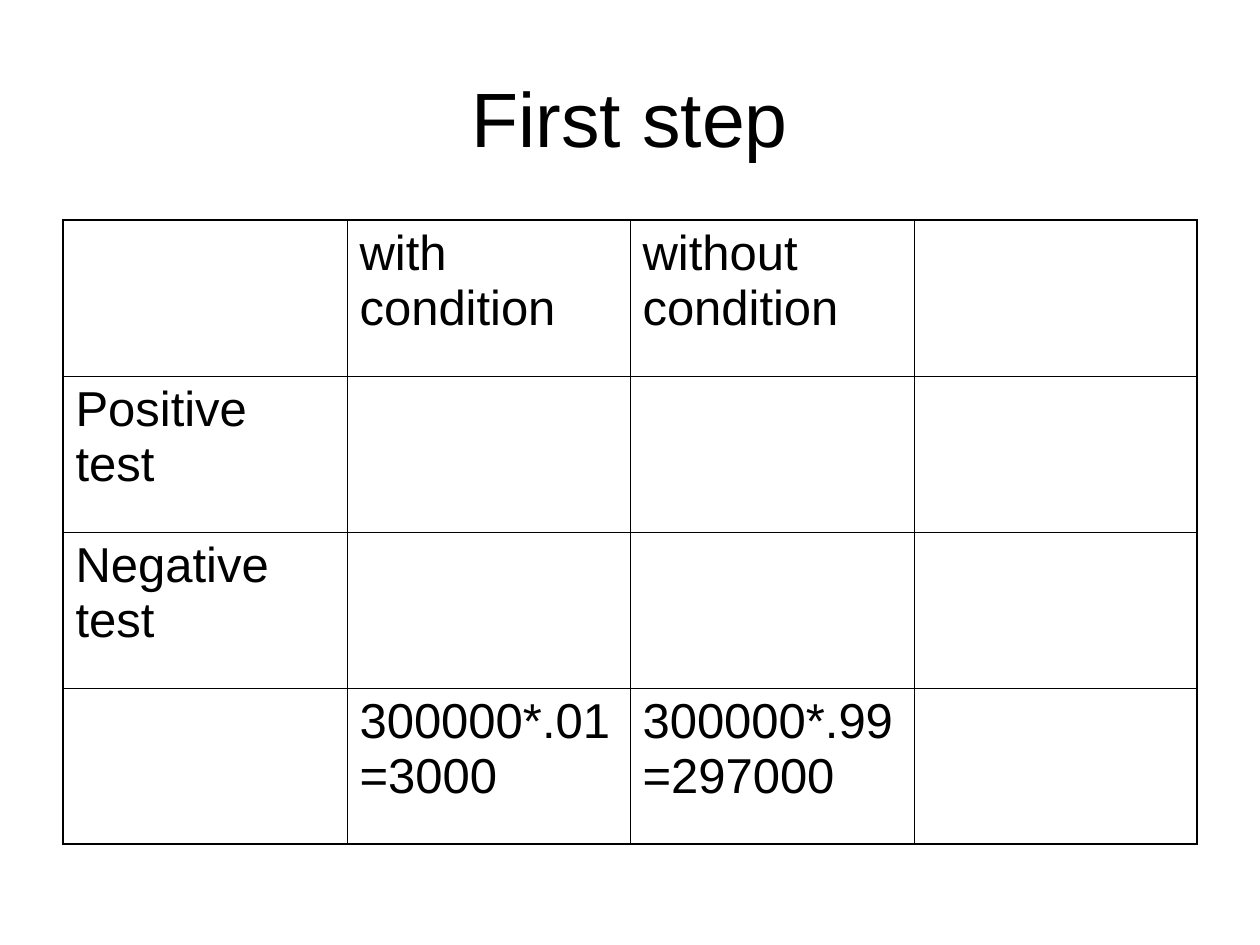
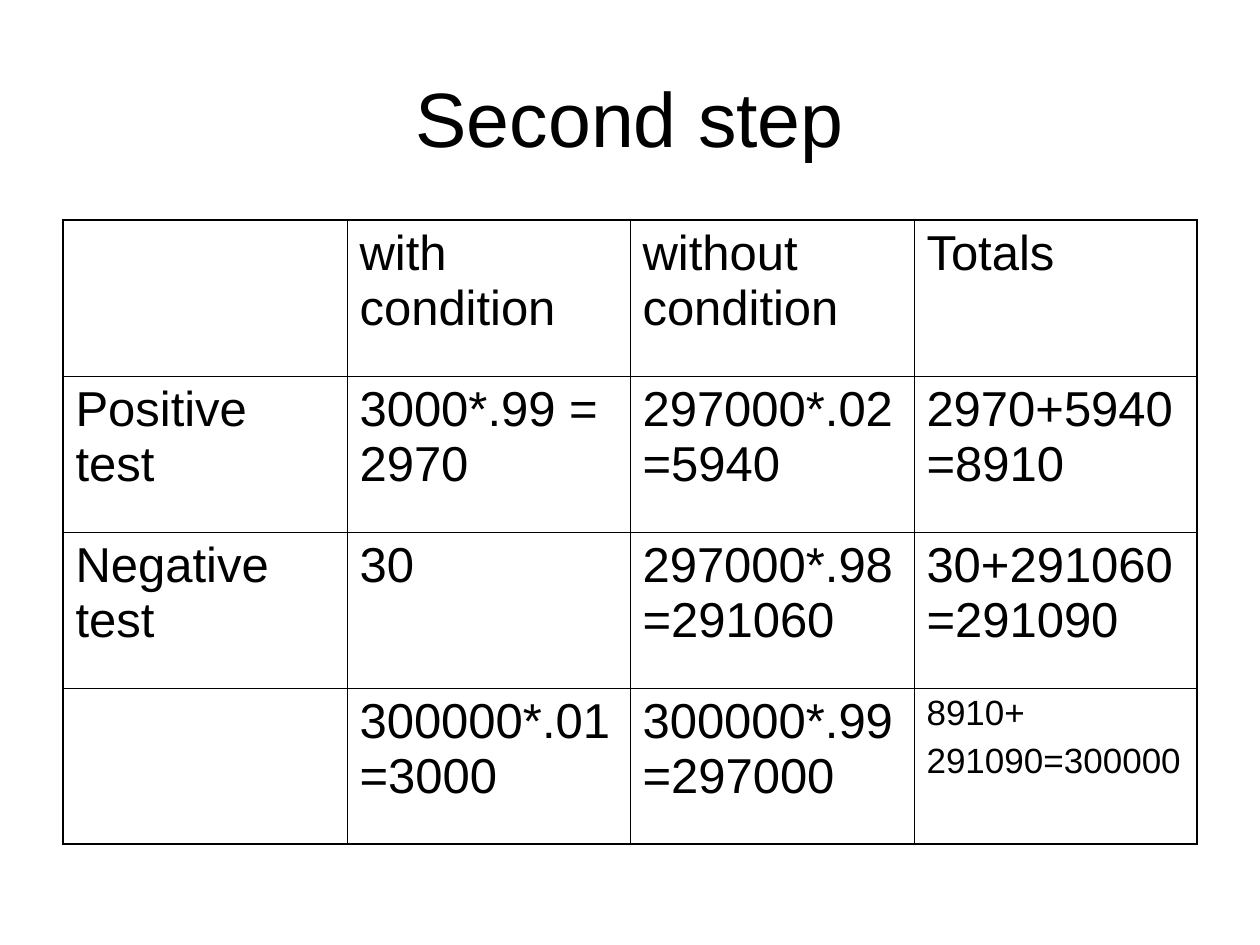
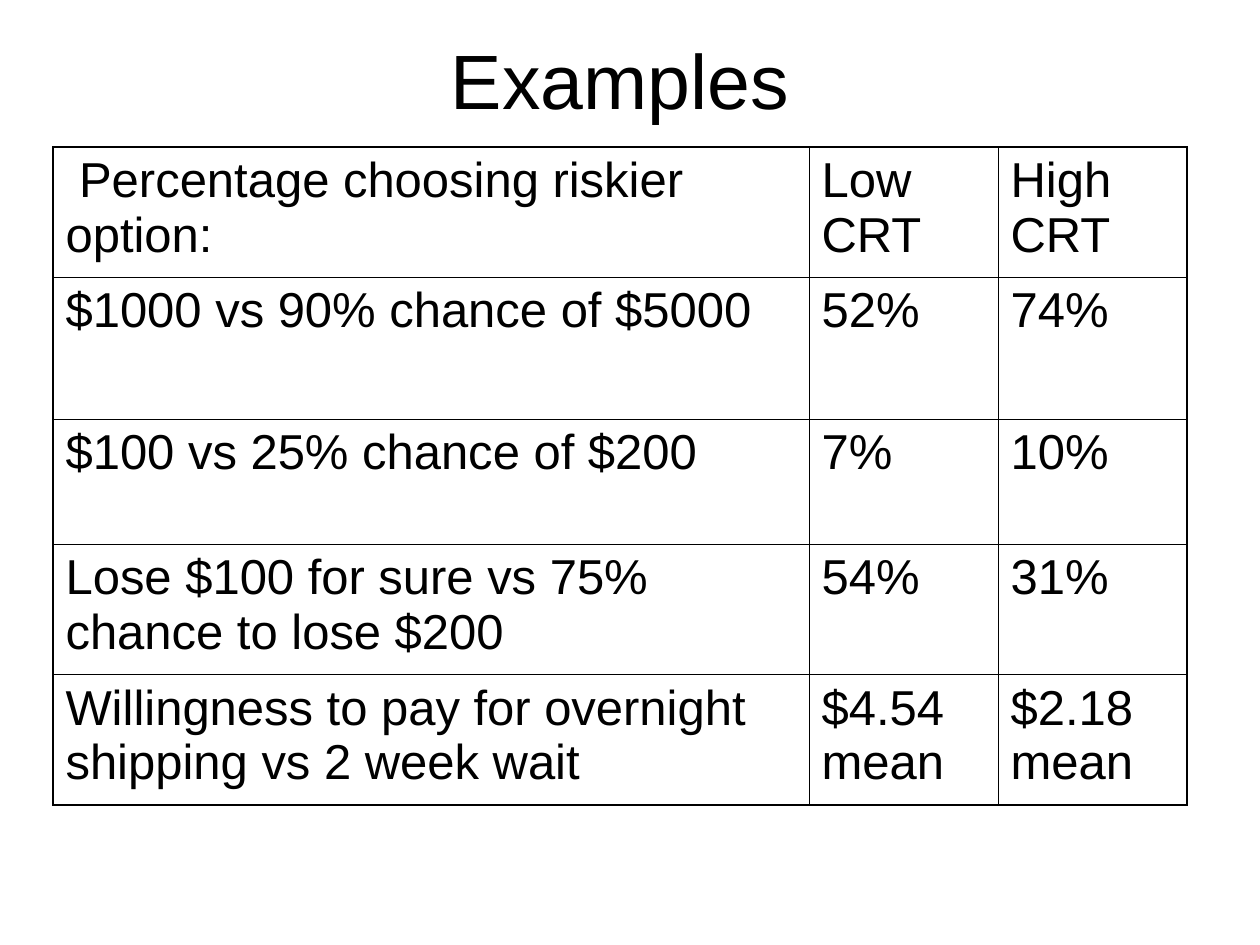
from dataclasses import dataclass

from lxml import etree
from pptx import Presentation
from pptx.dml.color import RGBColor
from pptx.enum.text import MSO_ANCHOR, PP_ALIGN
from pptx.oxml.ns import qn
from pptx.util import Inches, Pt

PX_PER_INCH = 126
CENTER = PP_ALIGN.CENTER
MIDDLE = MSO_ANCHOR.MIDDLE
BLANK_LAYOUT = 6


@dataclass(frozen=True)
class Theme:
    font: str = "Arial"
    ink: str = "000000"
    title_size: int = 44
    cell_size: int = 28
    small_size: int = 20
    small_gap: int = 5
    outer_line: float = 1.08
    inner_line: float = 0.45


THEME = Theme()

TITLE_WIDTH, TITLE_HEIGHT = 1134, 158
STEP_LEFT, STEP_TITLE_TOP, STEP_TABLE_TOP = 63, 38, 220
STEP_COLUMNS = [284, 283, 284, 283]
STEP_ROWS = [156] * 4
EXAMPLES_LEFT, EXAMPLES_TITLE_TOP, EXAMPLES_TABLE_TOP = 53, 0, 147
EXAMPLES_COLUMNS = [756, 189, 189]
EXAMPLES_ROWS = [130, 142, 125, 130, 130]

FIRST_STEP = [
    ["", "with condition", "without condition", ""],
    ["Positive test", "", "", ""],
    ["Negative test", "", "", ""],
    ["", "300000*.01=3000", "300000*.99=297000", ""],
]
SECOND_STEP = [
    ["", "with condition", "without condition", "Totals"],
    ["Positive test", "3000*.99 = 2970", "297000*.02=5940", "2970+5940=8910"],
    ["Negative test", "30", "297000*.98=291060", "30+291060=291090"],
    ["", "300000*.01=3000", "300000*.99=297000", "8910+\n291090=300000"],
]
EXAMPLES = [
    [" Percentage choosing riskier option:", "Low CRT", "High CRT"],
    ["$1000 vs 90% chance of $5000", "52%", "74%"],
    ["$100 vs 25% chance of $200", "7%", "10%"],
    ["Lose $100 for sure vs 75% chance to lose $200", "54%", "31%"],
    ["Willingness to pay for overnight shipping vs 2 week wait",
     "$4.54 mean", "$2.18 mean"],
]


def px(length):
    return Inches(length / PX_PER_INCH)


def style_paragraph(paragraph, size):
    paragraph.font.name = THEME.font
    paragraph.font.size = Pt(size)
    paragraph.font.color.rgb = RGBColor.from_string(THEME.ink)


def add_title(page, text, left, top):
    box = page.shapes.add_textbox(px(left), px(top), px(TITLE_WIDTH), px(TITLE_HEIGHT))
    frame = box.text_frame
    frame.word_wrap = True
    frame.vertical_anchor = MIDDLE
    frame.text = text
    paragraph = frame.paragraphs[0]
    paragraph.alignment = CENTER
    style_paragraph(paragraph, THEME.title_size)


def add_border(cell, side, width):
    """Draw one side (L, R, T or B) of a cell."""
    properties = cell._tc.get_or_add_tcPr()
    line = etree.SubElement(properties, qn(f"a:ln{side}"), w=str(Pt(width)))
    fill = etree.SubElement(line, qn("a:solidFill"))
    etree.SubElement(fill, qn("a:srgbClr"), val=THEME.ink)


def fill_cell(cell, text):
    """Write the text; a cell of several lines is set small."""
    cell.text = text
    paragraphs = cell.text_frame.paragraphs
    size = THEME.small_size if len(paragraphs) > 1 else THEME.cell_size
    for index, paragraph in enumerate(paragraphs):
        style_paragraph(paragraph, size)
        if index:
            paragraph.space_before = Pt(THEME.small_gap)


def add_grid(page, rows, left, top, widths, heights):
    """Add an unfilled table with a heavier outer frame."""
    table = page.shapes.add_table(
        len(heights), len(widths), px(left), px(top), px(sum(widths)), px(sum(heights))
    ).table
    table.first_row = table.horz_banding = False
    for column, width in zip(table.columns, widths):
        column.width = px(width)
    for row, height in zip(table.rows, heights):
        row.height = px(height)

    last_row, last_column = len(heights) - 1, len(widths) - 1
    for r, texts in enumerate(rows):
        for c, text in enumerate(texts):
            cell = table.cell(r, c)
            fill_cell(cell, text)
            outer_sides = {"L": c == 0, "R": c == last_column, "T": r == 0, "B": r == last_row}
            for side, is_outer in outer_sides.items():
                add_border(cell, side, THEME.outer_line if is_outer else THEME.inner_line)
            cell.fill.background()


def add_page(deck):
    return deck.slides.add_slide(deck.slide_layouts[BLANK_LAYOUT])


def add_step_page(deck, title, rows):
    page = add_page(deck)
    add_title(page, title, STEP_LEFT, STEP_TITLE_TOP)
    add_grid(page, rows, STEP_LEFT, STEP_TABLE_TOP, STEP_COLUMNS, STEP_ROWS)


def add_examples_page(deck):
    page = add_page(deck)
    add_title(page, "Examples", EXAMPLES_LEFT, EXAMPLES_TITLE_TOP)
    add_grid(page, EXAMPLES, EXAMPLES_LEFT, EXAMPLES_TABLE_TOP,
             EXAMPLES_COLUMNS, EXAMPLES_ROWS)


def main():
    deck = Presentation()
    deck.slide_width, deck.slide_height = px(1260), px(945)
    add_step_page(deck, "First step", FIRST_STEP)
    add_step_page(deck, "Second step", SECOND_STEP)
    add_examples_page(deck)
    deck.save("out.pptx")


if __name__ == "__main__":
    main()
